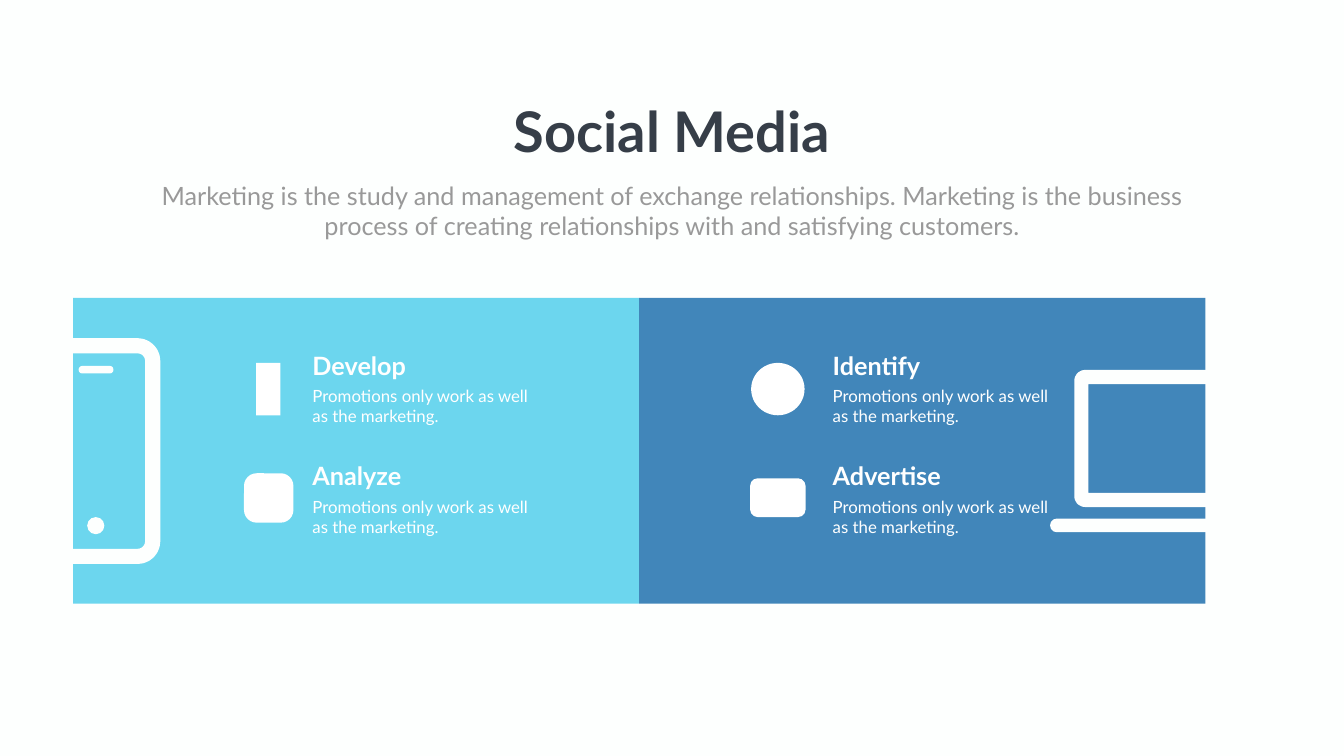
import pptx
import pptx.util
import pptx.dml.color
import pptx.enum.shapes
import pptx.enum.text

Inches, Pt = pptx.util.Inches, pptx.util.Pt
SHAPE = pptx.enum.shapes.MSO_SHAPE
ALIGN = pptx.enum.text.PP_ALIGN
COLORS = {"paper": "FDFFFE", "cyan": "6CD6EE", "blue": "4186BA",
          "white": "FFFFFF", "dark": "363E48", "gray": "999999"}


def add_shape(kind, box, fill=None, radius=None, line=None, line_width=0):
    sp = s.shapes.add_shape(kind, *[Inches(v) for v in box])
    sp.shadow.inherit = False
    if radius is not None:
        sp.adjustments[0] = radius / min(box[2:])
    if fill:
        sp.fill.solid()
        sp.fill.fore_color.rgb = pptx.dml.color.RGBColor.from_string(COLORS[fill])
    else:
        sp.fill.background()
    if line:
        sp.line.color.rgb = pptx.dml.color.RGBColor.from_string(COLORS[line])
        sp.line.width = Inches(line_width)
    else:
        sp.line.fill.background()


def write(sp, box, text, size, color, bold=False, align=ALIGN.LEFT, wrap=True):
    """Place a text shape and fill it with one formatted run."""
    sp.left, sp.top, sp.width, sp.height = [Inches(v) for v in box]
    tf = sp.text_frame
    tf.word_wrap = wrap
    tf.auto_size = pptx.enum.text.MSO_AUTO_SIZE.NONE
    tf.vertical_anchor = pptx.enum.text.MSO_ANCHOR.TOP
    p = tf.paragraphs[0]
    p.alignment = align
    p.space_before = Pt(0)
    r = p.add_run()
    r.text = text
    r.font.name = "Lato"
    r.font.size = Pt(size)
    r.font.bold = bold
    r.font.color.rgb = pptx.dml.color.RGBColor.from_string(COLORS[color])


prs = pptx.Presentation()
prs.slide_width, prs.slide_height = Inches(26.66), Inches(15)
s = prs.slides.add_slide(prs.slide_layouts[0])
s.background.fill.solid()
s.background.fill.fore_color.rgb = pptx.dml.color.RGBColor.from_string(COLORS["paper"])

# Heading
write(s.shapes.title, (10.03, 1.86, 6.61, 1.45), "Social Media", 80, "dark",
      bold=True, align=ALIGN.CENTER, wrap=False)
write(s.placeholders[1], (2.68, 3.52, 21.3, 1.31),
      "Marketing is the study and management of exchange relationships. "
      "Marketing is the business process of creating relationships with "
      "and satisfying customers.", 36, "gray", align=ALIGN.CENTER)

# Panels
for i, color in enumerate(("cyan", "blue")):
    add_shape(SHAPE.RECTANGLE, (1.45 + i * 11.23, 5.91, 11.23, 6.07), color)

# Phone: body, home button, speaker
add_shape(SHAPE.ROUNDED_RECTANGLE, (0.77, 6.86, 2.26, 4.18),
          radius=0.3, line="paper", line_width=0.3)
add_shape(SHAPE.OVAL, (1.73, 10.26, 0.34, 0.34), "paper")
add_shape(SHAPE.ROUNDED_RECTANGLE, (1.56, 7.26, 0.69, 0.15), "paper", radius=0.07)

# Laptop: screen, base
add_shape(SHAPE.ROUNDED_RECTANGLE, (21.45, 7.48, 3.96, 2.44),
          radius=0.07, line="paper", line_width=0.28)
add_shape(SHAPE.ROUNDED_RECTANGLE, (20.83, 10.29, 5.21, 0.27), "paper", radius=0.13)

# Channels: plain marker, heading, description
channels = [
    ("Develop", SHAPE.RECTANGLE, (5.08, 7.2, 0.48, 1.04), None),
    ("Analyze", SHAPE.ROUNDED_RECTANGLE, (4.84, 9.39, 0.98, 0.98), 0.25),
    ("Identify", SHAPE.OVAL, (14.9, 7.2, 1.06, 1.04), None),
    ("Advertise", SHAPE.ROUNDED_RECTANGLE, (14.88, 9.49, 1.1, 0.77), 0.15),
]
for i, (heading, kind, marker, radius) in enumerate(channels):
    col, row = divmod(i, 2)
    left, top = 6.1 + col * 10.32, 6.9 + row * 2.19
    add_shape(kind, marker, "white", radius)
    for dy, width, height, text, size, bold in (
            (0, 2.61, 0.71, heading, 36, True),
            (0.71, 4.52, 0.91, "Promotions only work as well as the marketing.", 24, False)):
        write(s.shapes.add_textbox(0, 0, 0, 0), (left, top + dy, width, height),
              text, size, "white", bold)

prs.save("out.pptx")
